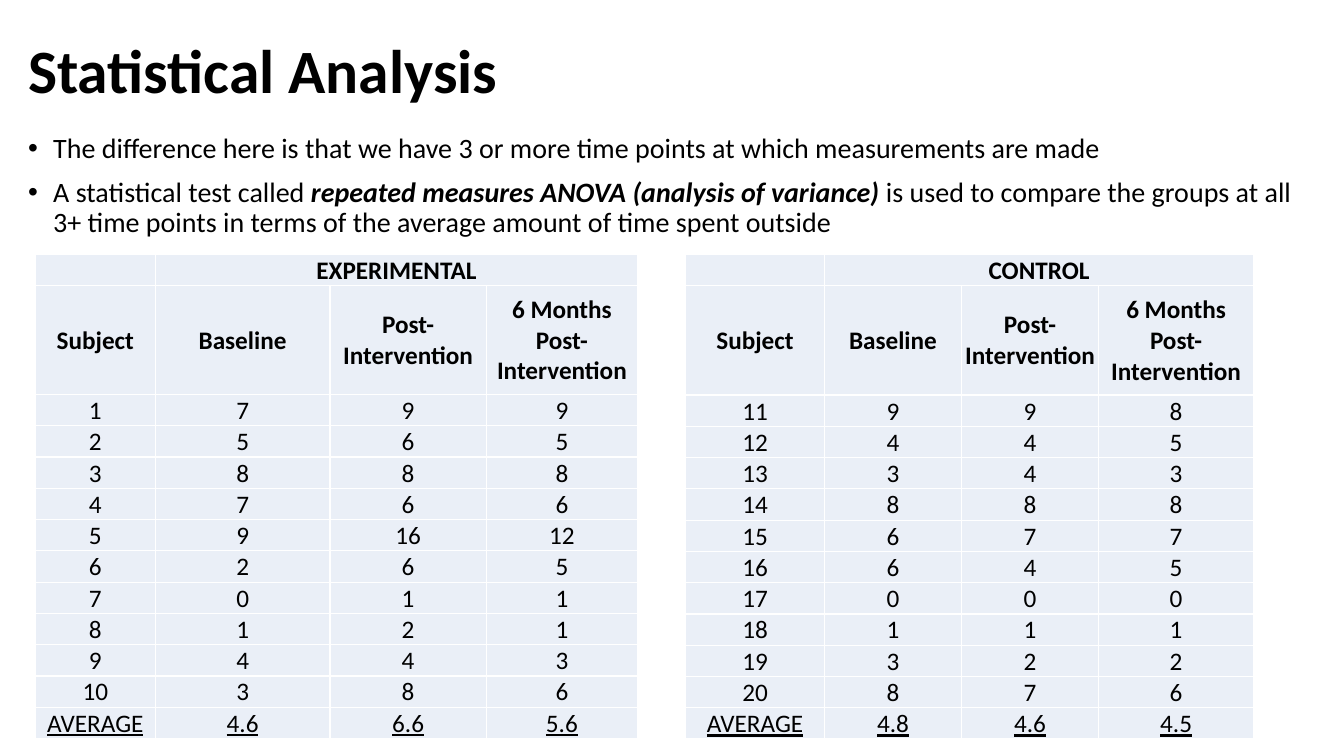
from lxml.etree import SubElement as Sub
from pptx import Presentation
from pptx.dml.color import RGBColor
from pptx.enum.text import MSO_ANCHOR as Anchor, PP_ALIGN as Align
from pptx.oxml.ns import qn
from pptx.util import Inches, Pt

WIDE, HIGH = Inches(13.33), Inches(7.5)
INK, PALE, WHITE = "000000", "EAEFF7", "FFFFFF"
HEADS = ["Subject", "Baseline", "Post-Intervention", "6 Months Post-Intervention"]
ROWS = [1, 3.55] + [1] * 11
TRIAL = [(7, 9, 9), (5, 6, 5), (8, 8, 8), (7, 6, 6), (9, 16, 12),
         (2, 6, 5), (0, 1, 1), (1, 2, 1), (4, 4, 3), (3, 8, 6)]
CONTROL = [(9, 9, 8), (4, 4, 5), (3, 4, 3), (8, 8, 8), (6, 7, 7),
           (6, 4, 5), (0, 0, 0), (1, 1, 1), (3, 2, 2), (8, 7, 6)]


def color(code):
    """Turn a hex string into a colour."""
    return RGBColor.from_string(code)


def place(left, top, width, height):
    """Turn percentages of the slide into lengths."""
    return [int(side * part / 100) for side, part in
            zip((WIDE, HIGH, WIDE, HIGH), (left, top, width, height))]


def write(para, text, size=18, bold=False, italic=False, under=False):
    """Add a formatted run to a paragraph."""
    run = para.add_run()
    run.text = text
    font = run.font
    font.name, font.size = "Calibri", Pt(size)
    font.bold, font.italic, font.underline = bold, italic, under
    font.color.rgb = color(INK)


def add_box(slide, area, anchor=Anchor.TOP):
    """Add a wrapping text box and return its frame."""
    frame = slide.shapes.add_textbox(*place(*area)).text_frame
    frame.word_wrap = True
    frame.vertical_anchor = anchor
    frame.paragraphs[0].line_spacing = 0.9
    return frame


def add_bullet(para):
    """Give a paragraph a hanging bullet."""
    para.line_spacing, para.space_before = 0.9, Pt(10)
    props = para._p.get_or_add_pPr()
    props.set("marL", str(Inches(0.25)))
    props.set("indent", str(-Inches(0.25)))
    Sub(props, qn("a:buFont"), typeface="Arial")
    Sub(props, qn("a:buChar"), char="•")


def style_cell(cell):
    """Set the borders, fill and margins of a cell."""
    props = cell._tc.get_or_add_tcPr()
    for side in ("lnL", "lnR", "lnT", "lnB"):
        line = Sub(props, qn("a:" + side), w=str(Pt(1)))
        Sub(Sub(line, qn("a:solidFill")), qn("a:srgbClr"), val=WHITE)
    cell.fill.solid()
    cell.fill.fore_color.rgb = color(PALE)
    cell.vertical_anchor = Anchor.MIDDLE
    cell.margin_left = cell.margin_right = cell.margin_top = Inches(0.01)
    cell.margin_bottom = 0


def set_sizes(lines, key, total, parts):
    """Share a length among columns or rows."""
    for line, part in zip(lines, parts):
        setattr(line, key, int(total * part / sum(parts)))


def add_group(slide, area, cols, name, first, data, means):
    """Add the table of one study group."""
    body = [(first + i, *row) for i, row in enumerate(data)]
    rows = [["", name, "", ""], HEADS, *body, ["AVERAGE", *means]]
    spot = place(*area)
    table = slide.shapes.add_table(len(rows), len(HEADS), *spot).table
    table.first_row = table.horz_banding = False
    set_sizes(table.columns, "width", spot[2], cols)
    set_sizes(table.rows, "height", spot[3], ROWS)
    for r, row in enumerate(rows):
        for c, value in enumerate(row):
            cell = table.cell(r, c)
            style_cell(cell)
            if value != "":
                para = cell.text_frame.paragraphs[0]
                para.alignment = Align.CENTER
                write(para, str(value), bold=r < 2, under=r == len(rows) - 1)
    table.cell(0, 1).merge(table.cell(0, 3))


def main():
    """Build the slide and save it."""
    deck = Presentation()
    deck.slide_width, deck.slide_height = WIDE, HIGH
    slide = deck.slides.add_slide(deck.slide_layouts[6])

    title = add_box(slide, (1.35, 0.13, 86.27, 19.33), Anchor.MIDDLE)
    write(title.paragraphs[0], "Statistical Analysis", size=44, bold=True)

    notes = add_box(slide, (1.35, 17.07, 97.3, 16.53))
    point, test = notes.paragraphs[0], notes.add_paragraph()
    add_bullet(point)
    add_bullet(test)
    write(point, "The difference here is that we have 3 or more time points "
          "at which measurements are made", size=20)
    write(test, "A statistical test called ", size=20)
    write(test, "repeated measures ANOVA (analysis of variance)",
          size=20, bold=True, italic=True)
    write(test, " is used to compare the groups at all 3+ time points in terms "
          "of the average amount of time spent outside", size=20)

    add_group(slide, (2.63, 33.6, 44.82, 63.3), (1.19, 1.73, 1.55, 1.5),
              "EXPERIMENTAL", 1, TRIAL, ("4.6", "6.6", "5.6"))
    add_group(slide, (51.01, 33.6, 42.27, 63.6), (1.38, 1.36, 1.36, 1.54),
              "CONTROL", 11, CONTROL, ("4.8", "4.6", "4.5"))
    deck.save("out.pptx")


if __name__ == "__main__":
    main()
